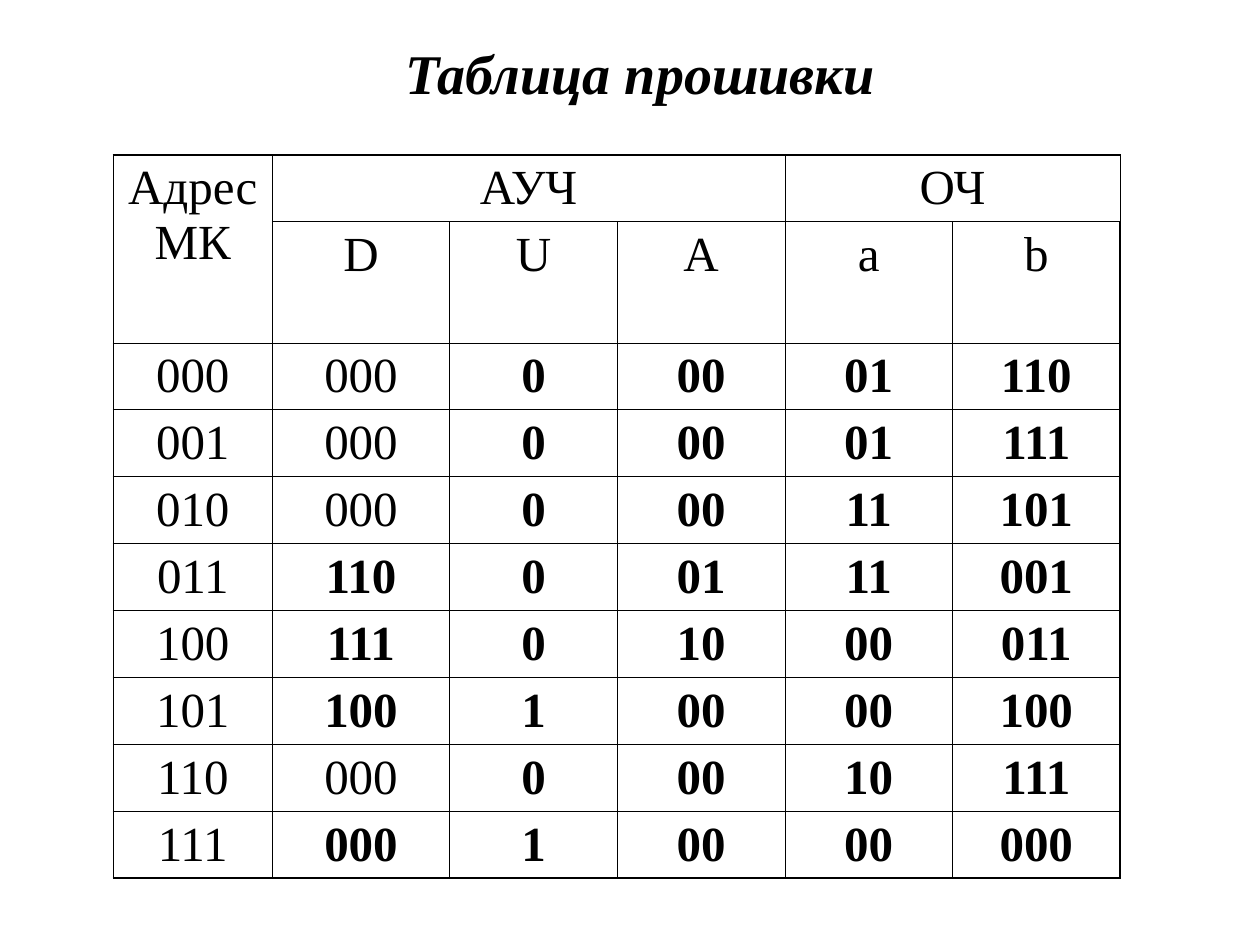
import dataclasses
import itertools

import pptx
import pptx.dml.color
import pptx.enum.text
import pptx.oxml
import pptx.oxml.ns
import pptx.table
import pptx.text.text
import pptx.util

Inches = pptx.util.Inches
Pt = pptx.util.Pt


@dataclasses.dataclass(frozen=True)
class Theme:
    font: str = "Times New Roman"
    ink: str = "000000"
    title: int = 32
    body: int = 28
    thin: float = 0.45
    thick: float = 1.08


@dataclasses.dataclass(frozen=True)
class Code:
    """One line of the firmware table; bold_d marks a bold D field."""
    address: str
    fields: tuple[str, ...]
    bold_d: bool = False


@dataclasses.dataclass(frozen=True)
class Head:
    """A header cell with its place and its span."""
    text: str
    row: int
    col: int
    rows: int = 1
    cols: int = 1


THEME = Theme()
WIDTHS = (1.26, 1.41, 1.33, 1.33, 1.33, 1.33)
HEADS = (
    Head("Адрес\vМК", 0, 0, rows=2),
    Head("АУЧ", 0, 1, cols=3),
    Head("ОЧ", 0, 4, cols=2),
    *(Head(name, 1, col) for col, name in enumerate("DUAab", 1)),
)
CODES = (
    Code("000", ("000", "0", "00", "01", "110")),
    Code("001", ("000", "0", "00", "01", "111")),
    Code("010", ("000", "0", "00", "11", "101")),
    Code("011", ("110", "0", "01", "11", "001"), True),
    Code("100", ("111", "0", "10", "00", "011"), True),
    Code("101", ("100", "1", "00", "00", "100"), True),
    Code("110", ("000", "0", "00", "10", "111")),
    Code("111", ("000", "1", "00", "00", "000"), True),
)
TOP = 2
HEIGHTS = (0.53, 0.96) + (0.53,) * len(CODES)


def write(para: pptx.text.text._Paragraph, text: str, size: int,
          bold: bool = False, italic: bool = False) -> None:
    para.text = text
    para.alignment = pptx.enum.text.PP_ALIGN.CENTER
    font = para.font
    font.name, font.size = THEME.font, Pt(size)
    font.bold, font.italic = bold, italic
    font.color.rgb = pptx.dml.color.RGBColor.from_string(THEME.ink)


def edge(cell: pptx.table._Cell, side: str, outer: bool) -> None:
    width = Pt(THEME.thick if outer else THEME.thin)
    cell._tc.get_or_add_tcPr().append(pptx.oxml.parse_xml(
        f'<a:ln{side} {pptx.oxml.ns.nsdecls("a")} w="{width}"><a:solidFill>'
        f'<a:srgbClr val="{THEME.ink}"/></a:solidFill></a:ln{side}>'))


def frame(table: pptx.table.Table) -> None:
    """Rule every cell, with heavier lines around the table."""
    last_row, last_col = len(HEIGHTS) - 1, len(WIDTHS) - 1
    for row, col in itertools.product(range(len(HEIGHTS)), range(len(WIDTHS))):
        cell = table.cell(row, col)
        edge(cell, "L", col == 0)
        edge(cell, "R", col == last_col)
        edge(cell, "T", row == 0)
        edge(cell, "B", row == last_row)
        cell.fill.background()


def fill(table: pptx.table.Table) -> None:
    for head in HEADS:
        cell = table.cell(head.row, head.col)
        if head.rows * head.cols > 1:
            cell.merge(table.cell(head.row + head.rows - 1,
                                  head.col + head.cols - 1))
        write(cell.text_frame.paragraphs[0], head.text, THEME.body)
    for row, code in enumerate(CODES, TOP):
        for col, text in enumerate((code.address, *code.fields)):
            bold = col > 1 or (col == 1 and code.bold_d)
            para = table.cell(row, col).text_frame.paragraphs[0]
            write(para, text, THEME.body, bold)


def main() -> None:
    deck = pptx.Presentation()
    deck.slide_width, deck.slide_height = Inches(10), Inches(7.5)
    slide = deck.slides.add_slide(deck.slide_layouts[5])

    title = slide.shapes.title
    title.left, title.top = Inches(0.83), Inches(0.23)
    title.width, title.height = Inches(8.5), Inches(0.69)
    title.text_frame.vertical_anchor = pptx.enum.text.MSO_ANCHOR.MIDDLE
    write(title.text_frame.paragraphs[0], "Таблица прошивки",
          THEME.title, bold=True, italic=True)

    table = slide.shapes.add_table(
        len(HEIGHTS), len(WIDTHS), Inches(0.9), Inches(1.23),
        Inches(sum(WIDTHS)), Inches(sum(HEIGHTS))).table
    table.first_row = table.horz_banding = False
    for column, width in zip(table.columns, WIDTHS):
        column.width = Inches(width)
    for row, height in zip(table.rows, HEIGHTS):
        row.height = Inches(height)
    fill(table)
    frame(table)
    deck.save("out.pptx")


if __name__ == "__main__":
    main()
